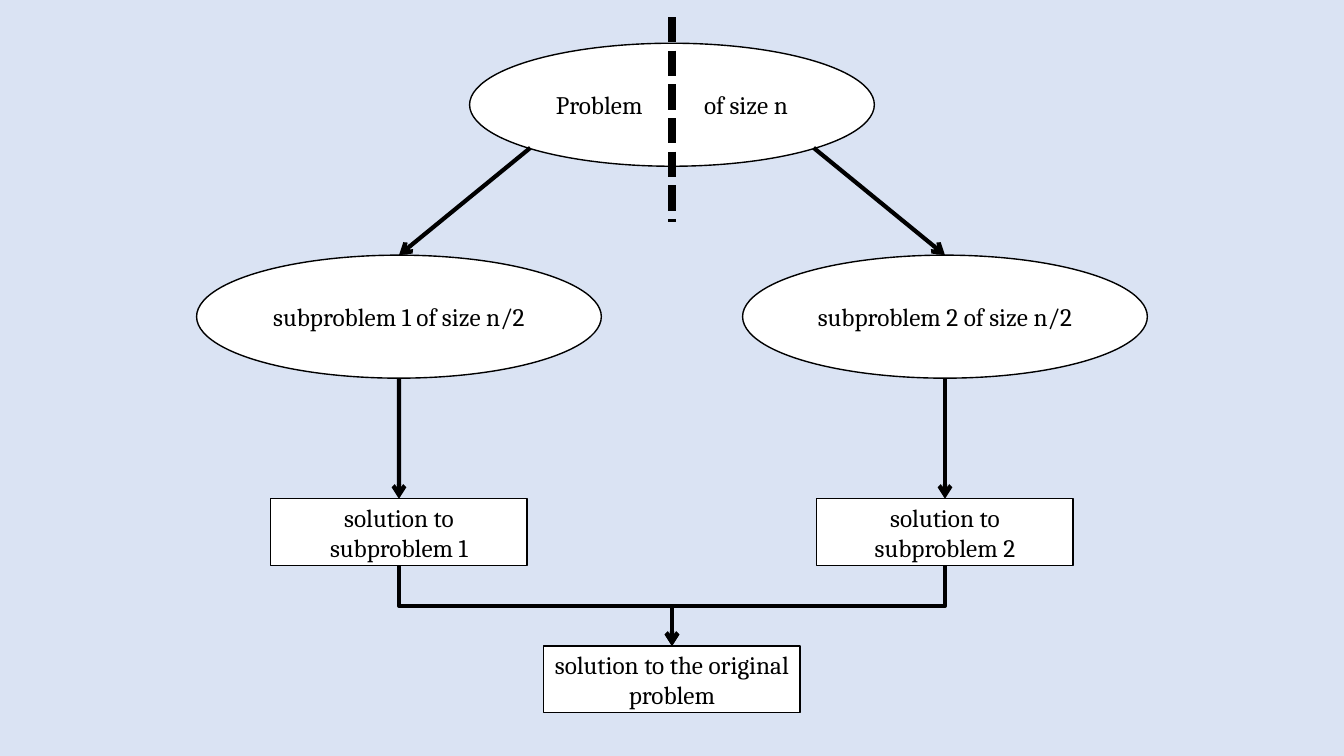
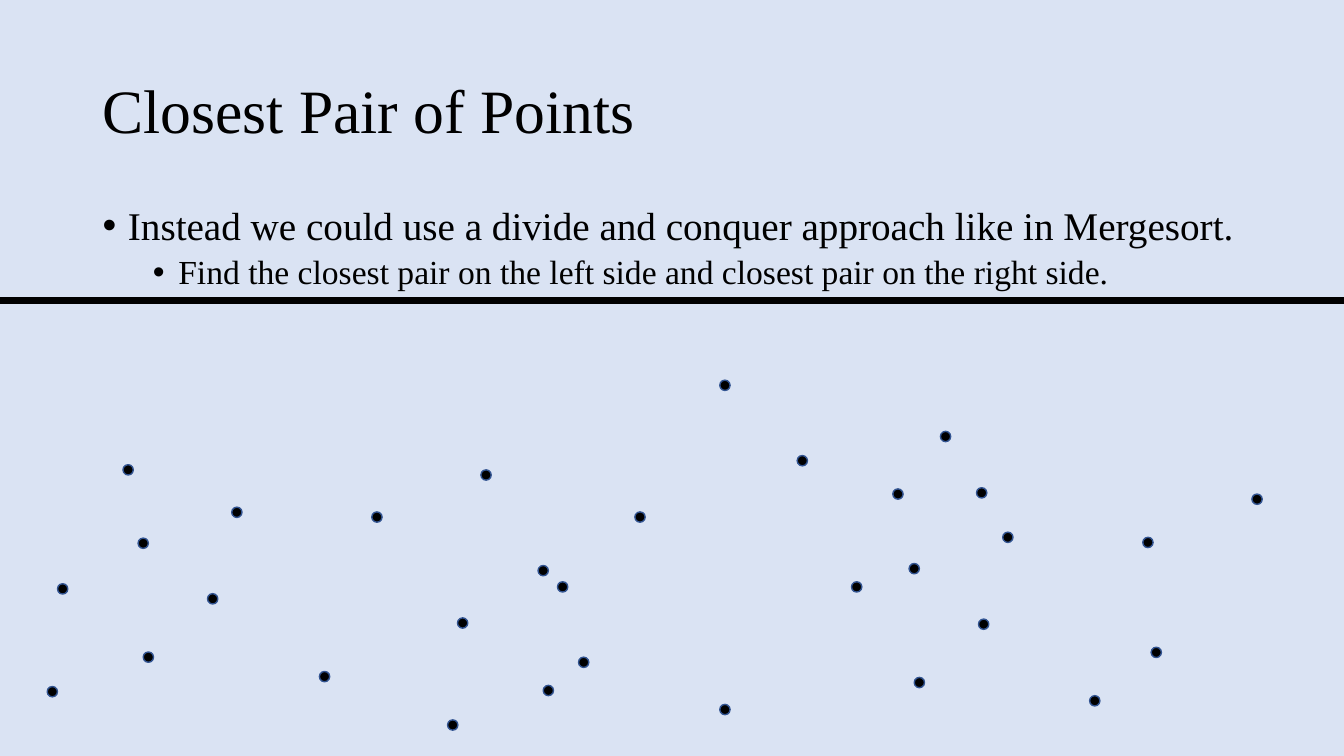
from lxml import etree
from pptx import Presentation
from pptx.dml.color import RGBColor
from pptx.enum.dml import MSO_LINE
from pptx.enum.shapes import MSO_CONNECTOR, MSO_SHAPE
from pptx.enum.text import MSO_ANCHOR, MSO_AUTO_SIZE, PP_ALIGN
from pptx.oxml.ns import qn
from pptx.util import Cm, Pt

ELLIPSE, RECTANGLE = MSO_SHAPE.OVAL, MSO_SHAPE.RECTANGLE
STRAIGHT, ELBOW = MSO_CONNECTOR.STRAIGHT, MSO_CONNECTOR.ELBOW
LEFT, CENTER = PP_ALIGN.LEFT, PP_ALIGN.CENTER
TOP, MIDDLE = MSO_ANCHOR.TOP, MSO_ANCHOR.MIDDLE
NO_FIT = MSO_AUTO_SIZE.NONE
SYSTEM_DASH = MSO_LINE.SQUARE_DOT

SLIDE_WIDTH, SLIDE_HEIGHT = 33.87, 19.05
MIDDLE_X = SLIDE_WIDTH / 2
BRANCH_OFFSET = 6.88
OVAL_SIZE = (10.2, 3.1)
BOX_SIZE = (6.46, 1.68)
DOT_SIZE = 0.26

TOP_SITE = (0, 0.5, 0)
BOX_BOTTOM = (2, 0.5, 1)
OVAL_LOWER_LEFT = (3, 0.15, 0.85)
OVAL_BOTTOM = (4, 0.5, 1)
OVAL_LOWER_RIGHT = (5, 0.85, 0.85)

POINTS = [
    (5.84, 12.78), (3.1, 11.71), (8.05, 16.92), (12.12, 11.84),
    (9.37, 12.9), (20.09, 11.48), (24.61, 12.29), (5.23, 14.96),
    (13.56, 14.25), (1.45, 14.71), (23.7, 10.87), (29.01, 16.31),
    (3.61, 16.43), (1.19, 17.3), (3.48, 13.56), (21.46, 14.66),
    (25.27, 13.41), (22.5, 12.32), (27.46, 17.53), (31.55, 12.45),
    (28.8, 13.54), (24.66, 15.6), (23.04, 17.07), (22.91, 14.2),
    (14.05, 14.66), (18.14, 9.58), (16, 12.9), (18.14, 17.75),
    (14.58, 16.56), (11.53, 15.57), (13.69, 17.27), (11.28, 18.14),
]


def color(hex_value):
    return RGBColor.from_string(hex_value)


class DeckBuilder:
    """Holds the deck style and the current page, and adds elements to it."""

    ink, paper = "000000", "FFFFFF"
    backdrop, dot_edge = "DAE3F3", "325491"
    label_font, text_font = "Cambria", "Times New Roman"

    def __init__(self):
        self.deck = Presentation()
        self.deck.slide_width = Cm(SLIDE_WIDTH)
        self.deck.slide_height = Cm(SLIDE_HEIGHT)
        fill = self.deck.slide_master.background.fill
        fill.solid()
        fill.fore_color.rgb = color(self.backdrop)
        self.page = None

    def add_page(self, layout_index):
        self.page = self.deck.slides.add_slide(self.deck.slide_layouts[layout_index])

    def style_paragraph(self, para, size, font_name, alignment):
        para.alignment = alignment
        para.font.size = Pt(size)
        para.font.name = font_name
        para.font.color.rgb = color(self.ink)

    def shape(self, kind, left, top, width, height, fill, edge):
        box = self.page.shapes.add_shape(kind, Cm(left), Cm(top), Cm(width), Cm(height))
        box.shadow.inherit = False
        box.fill.solid()
        box.fill.fore_color.rgb = color(fill)
        box.line.color.rgb = color(edge)
        box.line.width = Pt(1)
        return box

    def node(self, kind, size, center_x, top, text, gap=0):
        """Add a labelled shape; a gap in points widens the first space."""
        width, height = size
        box = self.shape(kind, center_x - width / 2, top, width, height, self.paper, self.ink)
        frame = box.text_frame
        frame.word_wrap = True
        frame.vertical_anchor = MIDDLE
        para = frame.paragraphs[0]
        pieces = text.partition(" ") if gap else [text]
        for piece in pieces:
            span = para.add_run()
            span.text = piece
            if piece == " ":
                span.font._element.set("spc", str(gap * 100))
        self.style_paragraph(para, 18, self.label_font, CENTER)
        return box

    def line(self, kind, begin, end, width, dash=None, arrow=False):
        connector = self.page.shapes.add_connector(
            kind, *(round(length) for length in (*begin, *end)))
        connector.line.color.rgb = color(self.ink)
        connector.line.width = Pt(width)
        if dash is not None:
            connector.line.dash_style = dash
        if arrow:
            etree.SubElement(connector.line._ln, qn("a:tailEnd"), type="arrow")
        etree.SubElement(connector._element.spPr, qn("a:effectLst"))
        return connector

    def arrow(self, source, source_site, target, bent=False):
        """Add an arrow glued from a site of one shape to the top of another."""
        ends = [(source, source_site), (target, TOP_SITE)]
        (x1, y1), (x2, y2) = [
            (box.left + box.width * across, box.top + box.height * down)
            for box, (_, across, down) in ends]
        if bent:
            middle_x, middle_y = (x1 + x2) / 2, (y1 + y2) / 2
            rightward = x2 > x1
            reach = (y2 - y1) / 2 * (1 if rightward else -1)
            rise = abs(x2 - x1) / 2
            connector = self.line(
                ELBOW, (middle_x + reach, middle_y - rise),
                (middle_x - reach, middle_y + rise), 3, arrow=True)
            degrees = 270 if rightward else 90
            connector._element.spPr.xfrm.set("rot", str(degrees * 60000))
        else:
            connector = self.line(STRAIGHT, (x1, y1), (x2, y2), 3, arrow=True)
        glue = connector._element.find(".//" + qn("p:cNvCxnSpPr"))
        for tag, (box, site) in zip(("a:stCxn", "a:endCxn"), ends):
            etree.SubElement(glue, qn(tag), id=str(box.shape_id), idx=str(site[0]))

    def place(self, holder, top, height, anchor):
        holder.left, holder.top = Cm(2.33), Cm(top)
        holder.width, holder.height = Cm(29.21), Cm(height)
        frame = holder.text_frame
        frame.word_wrap = True
        frame.auto_size = NO_FIT
        frame.vertical_anchor = anchor
        return frame

    def title(self, text):
        frame = self.place(self.page.shapes.title, 1.01, 3.68, MIDDLE)
        frame.text = text
        para = frame.paragraphs[0]
        para.line_spacing = 0.9
        self.style_paragraph(para, 44, self.text_font, LEFT)

    def bullets(self, items):
        """Fill the body with (level, size, space before, text) items."""
        frame = self.place(self.page.placeholders[1], 5.07, 12.09, TOP)
        for index, (level, size, space, text) in enumerate(items):
            para = frame.add_paragraph() if index else frame.paragraphs[0]
            para.text = text
            para.level = level
            properties = para._p.get_or_add_pPr()
            properties.set("marL", str(Cm(0.64 + 1.27 * level)))
            properties.set("indent", str(Cm(-0.64)))
            etree.SubElement(properties, qn("a:buFont"), typeface="Arial")
            etree.SubElement(properties, qn("a:buChar"), char="•")
            para.line_spacing = 0.9
            para.space_before = Pt(space)
            self.style_paragraph(para, size, self.text_font, LEFT)

    def dot(self, left, top):
        self.shape(ELLIPSE, left, top, DOT_SIZE, DOT_SIZE, self.ink, self.dot_edge)


def build_divide_and_conquer(builder):
    builder.add_page(6)
    problem = builder.node(ELLIPSE, OVAL_SIZE, MIDDLE_X, 1.09, "Problem of size n", gap=40)
    result = builder.node(
        RECTANGLE, BOX_SIZE, MIDDLE_X, 16.28, "solution to the original problem")
    branches = [(1, -BRANCH_OFFSET, OVAL_LOWER_LEFT), (2, BRANCH_OFFSET, OVAL_LOWER_RIGHT)]
    for number, offset, site in branches:
        center_x = MIDDLE_X + offset
        subproblem = builder.node(
            ELLIPSE, OVAL_SIZE, center_x, 6.43, f"subproblem {number} of size n/2")
        solution = builder.node(
            RECTANGLE, BOX_SIZE, center_x, 12.57, f"solution to subproblem {number}")
        builder.arrow(problem, site, subproblem)
        builder.arrow(subproblem, OVAL_BOTTOM, solution)
        builder.arrow(solution, BOX_BOTTOM, result, bent=True)
    builder.line(
        STRAIGHT, (Cm(MIDDLE_X), Cm(0.43)), (Cm(MIDDLE_X), Cm(5.59)), 6, dash=SYSTEM_DASH)


def build_closest_pair(builder):
    builder.add_page(1)
    builder.title("Closest Pair of Points")
    builder.bullets([
        (0, 28, 10, "Instead we could use a divide and conquer approach like in Mergesort."),
        (1, 24, 5, "Find the closest pair on the left side and closest pair on the right side."),
    ])
    builder.line(STRAIGHT, (0, Cm(7.57)), (Cm(SLIDE_WIDTH), Cm(7.57)), 4.5)
    for left, top in POINTS:
        builder.dot(left, top)


def main():
    builder = DeckBuilder()
    build_divide_and_conquer(builder)
    build_closest_pair(builder)
    builder.deck.save("out.pptx")


if __name__ == "__main__":
    main()
